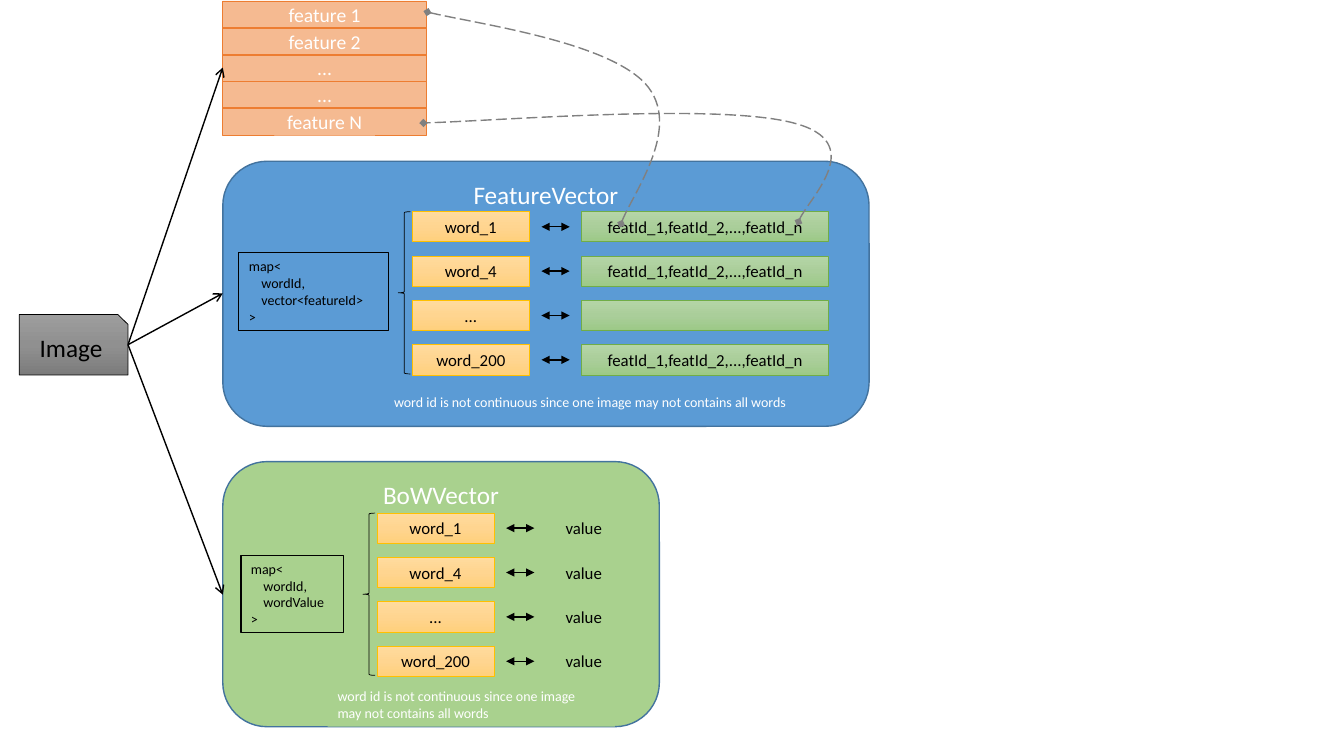
import copy
import pptx
import pptx.dml.color
import pptx.enum.dml
import pptx.enum.shapes
import pptx.enum.text
import pptx.oxml
import pptx.oxml.ns
import pptx.util

Inches = pptx.util.Inches
Pt = pptx.util.Pt
rgb = pptx.dml.color.RGBColor.from_string
qn = pptx.oxml.ns.qn
SHAPE = pptx.enum.shapes.MSO_SHAPE
STRAIGHT = pptx.enum.shapes.MSO_CONNECTOR.STRAIGHT
ANCHOR = pptx.enum.text.MSO_ANCHOR
ALIGN = pptx.enum.text.PP_ALIGN

ORANGE = ["FFDB9E", "FFD590", "FFD07C"]
GREEN = ["B5D5A7", "AACE9A", "9CC987"]
GRAY = ["9D9D9D", "909090", "7C7C7C"]
WORDS = ["word_1", "word_4", "...", "word_200"]
FEATURE_IDS = "featId_1,featId_2,...,featId_n"
ROW_STEP = 0.44


def add_box(parent, kind, at, lines=(), size=12, color="000000", fill=None,
            outline=None, weight=0.5, align=ALIGN.CENTER, anchor=ANCHOR.TOP, wrap=True):
    place = [Inches(value) for value in at]
    if kind is None:
        box = parent.add_textbox(*place)
    else:
        box = parent.add_shape(kind, *place)
        box.shadow.inherit = False
        if outline:
            box.line.color.rgb = rgb(outline)
            box.line.width = Pt(weight)
        else:
            box.line.fill.background()
    if isinstance(fill, list):
        box.fill.gradient()
        box.fill.gradient_angle = 270
        first_stop = box._element.spPr.find(".//" + qn("a:gs"))
        first_stop.addnext(copy.deepcopy(first_stop))
        for stop, position, tone in zip(box.fill.gradient_stops, (0, 0.5, 1), fill):
            stop.position = position
            stop.color.rgb = rgb(tone)
    elif fill:
        box.fill.solid()
        box.fill.fore_color.rgb = rgb(fill)
    else:
        box.fill.background()
    frame = box.text_frame
    frame.word_wrap = wrap
    frame.vertical_anchor = anchor
    for index, line in enumerate(lines):
        paragraph = frame.add_paragraph() if index else frame.paragraphs[0]
        paragraph.alignment = align
        run = paragraph.add_run()
        run.text = line
        run.font.size = Pt(size)
        run.font.name = "Calibri"
        run.font.color.rgb = rgb(color)
    return box


def style_line(line, color, tail, head=None):
    line.line.color.rgb = rgb(color)
    line.line.width = Pt(1)
    outline = line.line._get_or_add_ln()
    for tag, mark in (("a:headEnd", head), ("a:tailEnd", tail)):
        if mark:
            end = pptx.oxml.ns.qn(tag)
            outline.append(outline.makeelement(end, {"type": mark}))
    properties = line._element.spPr
    properties.append(properties.makeelement(qn("a:effectLst"), {}))


presentation = pptx.Presentation()
presentation.slide_width = Inches(13.33)
presentation.slide_height = Inches(7.5)
slide = presentation.slides.add_slide(presentation.slide_layouts[6])

features = slide.shapes.add_group_shape().shapes
for index, feature in enumerate(["feature 1", "feature 2", "...", "...", "feature N"]):
    cell = add_box(features, SHAPE.RECTANGLE, (2.21, 0.01 + 0.265 * index, 2.02, 0.27),
                   [feature], 14, "FFFFFF", "ED7D31", "ED7D31", anchor=ANCHOR.MIDDLE)
    tint = cell._element.spPr.find(qn("a:solidFill"))[0]
    tint.append(tint.makeelement(qn("a:alpha"), {"val": "53000"}))

feature_vector = slide.shapes.add_group_shape().shapes
add_box(feature_vector, SHAPE.ROUNDED_RECTANGLE, (2.21, 1.6, 6.41, 2.63),
        ["FeatureVector"], 18, "FFFFFF", "5B9BD5", "43739E", 1)
bow_vector = slide.shapes.add_group_shape().shapes
add_box(bow_vector, SHAPE.ROUNDED_RECTANGLE, (2.21, 4.58, 4.33, 2.63),
        ["BoWVector"], 18, "FFFFFF", "A9D18E", "43739E", 1)

for vector, left, top in ((feature_vector, 4.09, 2.1), (bow_vector, 3.74, 5.09)):
    for index, word in enumerate(WORDS):
        row = top + ROW_STEP * index
        add_box(vector, SHAPE.RECTANGLE, (left, row, 1.16, 0.3), [word],
                fill=ORANGE, outline="FFC000", anchor=ANCHOR.MIDDLE)
        link = vector.add_connector(STRAIGHT, Inches(left + 1.28), Inches(row + 0.15),
                                    Inches(left + 1.56), Inches(row + 0.15))
        style_line(link, "000000", "triangle", "triangle")
        if vector is bow_vector:
            add_box(vector, None, (5.49, row, 0.6, 0.3), ["value"], wrap=False)
        else:
            add_box(vector, SHAPE.RECTANGLE, (5.77, row, 2.45, 0.3),
                    [] if word == "..." else [FEATURE_IDS], fill=GREEN, outline="70AD47")
    add_box(vector, SHAPE.LEFT_BRACE, (left - 0.14, top, 0.12, 1.61), outline="000000")

for vector, at, value_type in (
    (feature_vector, (2.37, 2.51, 1.48, 0.77), "vector<featureId>"),
    (bow_vector, (2.39, 5.51, 1.02, 0.77), "wordValue"),
):
    add_box(vector, SHAPE.RECTANGLE, at, ["map<", "    wordId,", "    " + value_type, ">"],
            10, outline="000000", weight=0.75, align=ALIGN.LEFT, wrap=False)

add_box(feature_vector, None, (3.81, 3.85, 4.51, 0.27),
        ["word id is not continuous since one image may not contains all words"],
        10, "FFFFFF", align=ALIGN.LEFT, wrap=False)
add_box(bow_vector, SHAPE.RECTANGLE, (3.25, 6.77, 2.85, 0.44),
        ["word id is not continuous since one image", "may not contains all words"],
        10, "FFFFFF", "A9D18E", align=ALIGN.LEFT, wrap=False)

for (left, top, width, height), start, bends in (
    ((4.24, 0.12, 2.29, 2.1), (6.16, 2.22),
     [(6.25, 1.95), (6.78, 1.25), (6.4, 0.83), (6.01, 0.41), (4.68, 0.23), (4.24, 0.12)]),
    ((4.2, 1.12, 4.03, 1.08), (7.92, 2.2),
     [(7.99, 2), (8.61, 1.41), (7.87, 1.22), (7.12, 1.02), (4.93, 1.2), (4.2, 1.22)]),
):
    builder = slide.shapes.build_freeform(Inches(left), Inches(top))
    builder.add_line_segments([(Inches(left + width), Inches(top + height))], close=False)
    curve = builder.convert_to_shape()
    route = curve._element.spPr.find(".//" + qn("a:path"))
    for step in list(route):
        route.remove(step)
    for tag, points in (("a:moveTo", [start]), ("a:cubicBezTo", bends[:3]),
                        ("a:cubicBezTo", bends[3:])):
        step = route.makeelement(qn(tag), {})
        route.append(step)
        for x, y in points:
            step.append(step.makeelement(qn("a:pt"), {
                "x": str(Inches(x - left)), "y": str(Inches(y - top))}))
    curve.fill.background()
    curve.line.dash_style = pptx.enum.dml.MSO_LINE.LONG_DASH
    style_line(curve, "808080", "diamond", "diamond")

add_box(slide.shapes, SHAPE.SNIP_1_RECTANGLE, (0.19, 3.12, 1.08, 0.6), ["Image"], 18,
        fill=GRAY, outline="000000", anchor=ANCHOR.MIDDLE)
for target in (0.67, 2.91, 5.9):
    arrow = slide.shapes.add_connector(STRAIGHT, Inches(1.27), Inches(3.42),
                                       Inches(2.21), Inches(target))
    style_line(arrow, "000000", "arrow")

presentation.save("out.pptx")
